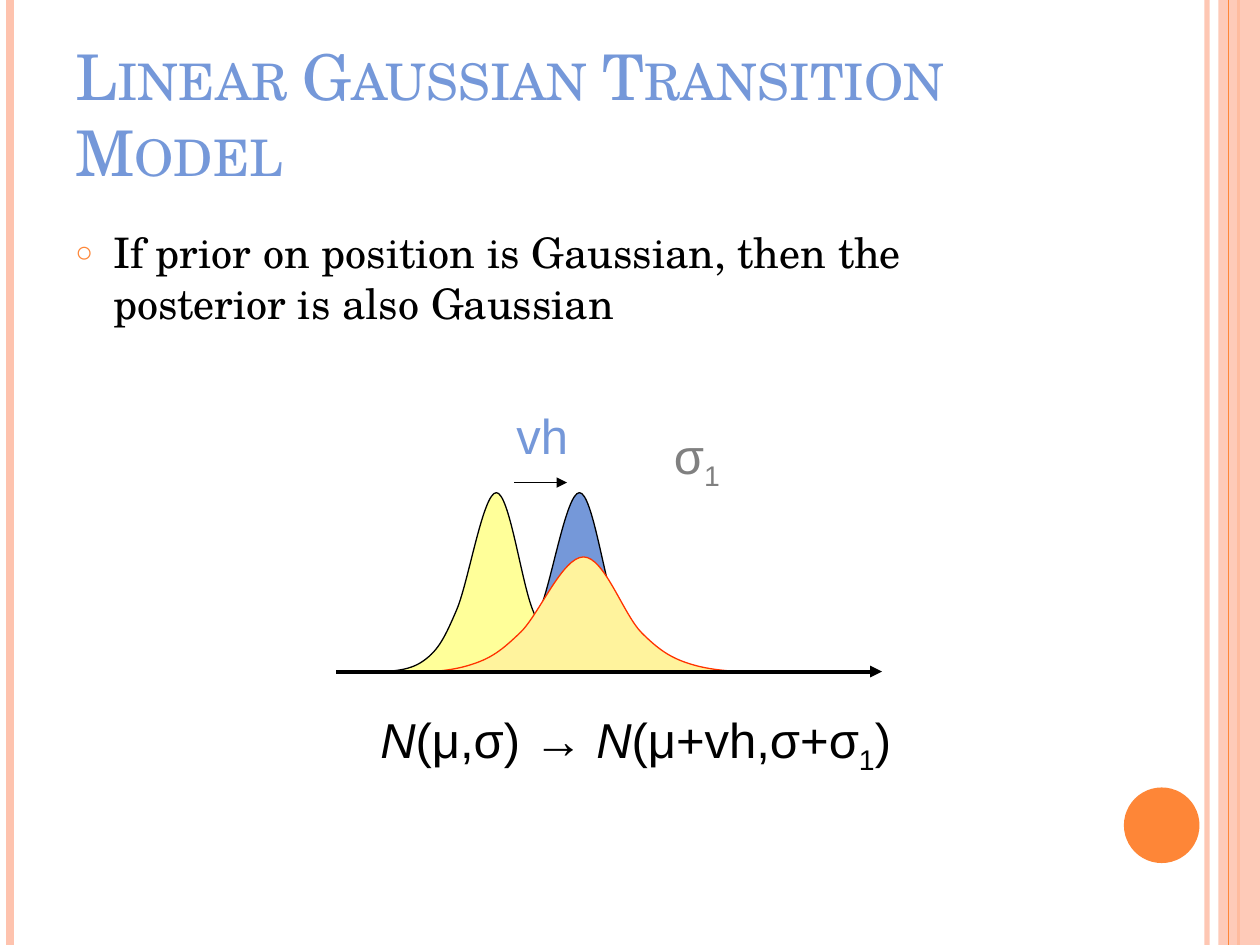
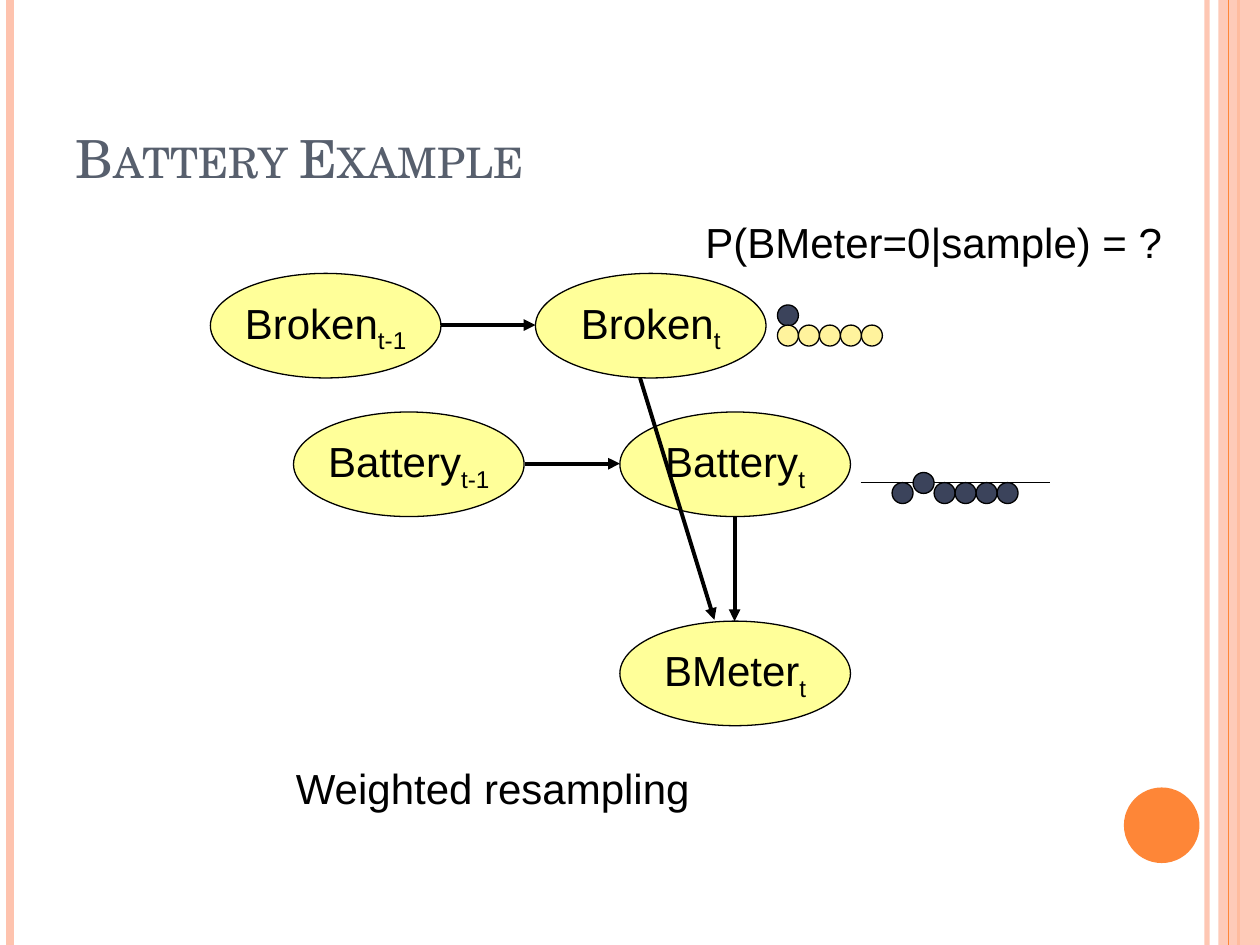
"""Build two slides on Gaussian transitions and a battery network."""
from dataclasses import dataclass

from lxml.etree import SubElement
from pptx import Presentation
from pptx.dml.color import RGBColor
from pptx.enum.shapes import MSO_CONNECTOR, MSO_SHAPE
from pptx.enum.text import MSO_ANCHOR, PP_ALIGN
from pptx.oxml.ns import qn
from pptx.slide import Slide
from pptx.util import Inches, Pt

BLACK = RGBColor(0x00, 0x00, 0x00)
GRAY = RGBColor(0x80, 0x80, 0x80)
SLATE = RGBColor(0x57, 0x5F, 0x6D)
BLUE = RGBColor(0x75, 0x98, 0xD9)
NAVY = RGBColor(0x3B, 0x43, 0x5B)
ORANGE = RGBColor(0xFE, 0x86, 0x37)
PEACH = RGBColor(0xFE, 0xC3, 0xAE)
YELLOW = RGBColor(0xFF, 0xFF, 0x99)
CREAM = RGBColor(0xFF, 0xF3, 0x9D)
RED = RGBColor(0xFF, 0x33, 0x00)
SANS = "Arial"
SERIF = "TeX Gyre Schola"
DOT = 1 / 6
NODE_W, NODE_H = 1.83, 0.83
START = (0, 100)
CURVE = [
    ((8, 100), (15.5, 100), (21.2, 94)),
    ((27, 88), (29.5, 80.5), (34, 65)),
    ((38.5, 49), (44, 0), (49, 0)),
    ((54, 0), (58.5, 50), (63, 66)),
    ((67.5, 82), (70.5, 89), (76.6, 94.5)),
    ((83, 100), (91.3, 99.5), (100, 100)),
]


@dataclass
class Box:
    left: float
    top: float
    width: float
    height: float

    def emu(self) -> tuple:
        """Return the four lengths in drawing units."""
        return tuple(Inches(v) for v in (self.left, self.top, self.width, self.height))


@dataclass
class Run:
    text: str
    slant: bool = False
    sub: bool = False


@dataclass
class Style:
    size: float
    color: RGBColor = BLACK
    font: str = SANS
    caps: bool = False


@dataclass
class Line:
    start: tuple
    end: tuple
    color: RGBColor = BLACK
    width: float = 2.25
    arrow: bool = True
    alpha: int = 100


@dataclass
class Bell:
    box: Box
    fill: RGBColor
    edge: RGBColor = BLACK


@dataclass
class Node:
    left: float
    top: float
    name: str
    time: str


TITLE = Box(0.5, 0.3, 8.17, 1.25)
RAILS = [
    Line((9.58, 0), (9.58, 7.5), PEACH, 3, False, 93),
    Line((0.08, 0), (0.08, 7.5), PEACH, 4.5, False),
    Line((9.83, 0), (9.83, 7.5), ORANGE, 1.5, False),
]
EDGE = Line((9.75, 0), (9.75, 7.5), ORANGE, 0.75, False)
BELLS = [
    Bell(Box(2.92, 3.91, 2.08, 1.42), YELLOW),
    Bell(Box(3.58, 3.91, 2.08, 1.42), BLUE),
    Bell(Box(3, 4.42, 3.33, 0.92), CREAM, RED),
]
NODES = [
    Node(4.92, 4.93, "BMeter", "t"),
    Node(4.92, 3.27, "Battery", "t"),
    Node(2.33, 3.27, "Battery", "t-1"),
    Node(1.67, 2.17, "Broken", "t-1"),
    Node(4.25, 2.17, "Broken", "t"),
]
LINKS = [
    Line((4.17, 3.68), (4.92, 3.68)),
    Line((5.83, 4.1), (5.83, 4.93)),
    Line((5.08, 3), (5.67, 4.92)),
    Line((3.5, 2.58), (4.25, 2.58)),
]


def set_alpha(item, alpha: int) -> None:
    """Make the first colour of a shape or line partly clear."""
    if alpha < 100:
        color = next(item._element.spPr.iter(qn("a:srgbClr")))
        SubElement(color, qn("a:alpha"), val=str(alpha * 1000))


def draw_line(slide: Slide, line: Line) -> None:
    """Draw a straight line or arrow."""
    ends = [Inches(v) for v in (*line.start, *line.end)]
    item = slide.shapes.add_connector(MSO_CONNECTOR.STRAIGHT, *ends)
    item.line.color.rgb = line.color
    item.line.width = Pt(line.width)
    props = item._element.spPr
    if line.arrow:
        SubElement(props.find(qn("a:ln")), qn("a:tailEnd"), type="triangle")
    SubElement(props, qn("a:effectLst"))
    set_alpha(item, line.alpha)


def paint(shape, fill: RGBColor, edge: RGBColor | None = BLACK) -> None:
    """Set the fill and outline of a shape."""
    shape.shadow.inherit = False
    shape.fill.solid()
    shape.fill.fore_color.rgb = fill
    if edge is None:
        shape.line.fill.background()
    else:
        shape.line.color.rgb = edge
        shape.line.width = Pt(0.75)


def draw_shape(slide: Slide, kind: MSO_SHAPE, box: Box, fill: RGBColor,
               edge: RGBColor | None = BLACK):
    """Draw a painted preset shape."""
    shape = slide.shapes.add_shape(kind, *box.emu())
    paint(shape, fill, edge)
    return shape


def add_runs(para, runs: list[Run], style: Style) -> None:
    """Add styled runs to a paragraph."""
    for part in runs:
        run = para.add_run()
        run.text = part.text
        font = run.font
        font.size, font.name = Pt(style.size), style.font
        font.color.rgb = style.color
        font.italic = part.slant
        props = run._r.get_or_add_rPr()
        if part.sub:
            props.set("baseline", "-25000")
        if style.caps:
            props.set("cap", "small")


def draw_text(slide: Slide, box: Box, runs: list[Run], style: Style,
              anchor: MSO_ANCHOR = MSO_ANCHOR.TOP):
    """Draw a text box and return its paragraph."""
    frame = slide.shapes.add_textbox(*box.emu()).text_frame
    frame.word_wrap = True
    frame.vertical_anchor = anchor
    para = frame.paragraphs[0]
    add_runs(para, runs, style)
    return para


def add_bullet(para) -> None:
    """Give a paragraph the ring bullet and hanging indent."""
    para.space_before = Pt(6)
    props = para._p.get_or_add_pPr()
    props.set("marL", str(Inches(0.3)))
    props.set("indent", str(-Inches(0.3)))
    color = SubElement(props, qn("a:buClr"))
    SubElement(color, qn("a:srgbClr"), val=str(ORANGE))
    SubElement(props, qn("a:buSzPct"), val="70000")
    SubElement(props, qn("a:buFont"), typeface=SANS)
    SubElement(props, qn("a:buChar"), char="○")


def bend(shape, box: Box) -> None:
    """Turn the straight sides of a bell into Bézier curves."""
    sides = list(shape._element.spPr.iter(qn("a:lnTo")))
    for side, points in zip(sides, CURVE):
        curve = SubElement(side.getparent(), qn("a:cubicBezTo"))
        for x, y in points:
            SubElement(curve, qn("a:pt"), x=str(Inches(box.width * x / 100)),
                       y=str(Inches(box.height * y / 100)))
        side.getparent().replace(side, curve)


def draw_bell(slide: Slide, bell: Bell) -> None:
    """Draw the bell curve scaled to its box."""
    box = bell.box
    knots = [START] + [points[-1] for points in CURVE]
    first, *rest = [(Inches(box.left + box.width * x / 100),
                     Inches(box.top + box.height * y / 100)) for x, y in knots]
    pen = slide.shapes.build_freeform(*first)
    pen.add_line_segments(rest, close=False)
    shape = pen.convert_to_shape()
    bend(shape, box)
    paint(shape, bell.fill, bell.edge)


def draw_node(slide: Slide, node: Node) -> None:
    """Draw a network node with its time index."""
    box = Box(node.left, node.top, NODE_W, NODE_H)
    frame = draw_shape(slide, MSO_SHAPE.OVAL, box, YELLOW).text_frame
    frame.word_wrap = False
    frame.vertical_anchor = MSO_ANCHOR.MIDDLE
    para = frame.paragraphs[0]
    para.alignment = PP_ALIGN.CENTER
    add_runs(para, [Run(node.name), Run(node.time, sub=True)], Style(24))


def draw_dot(slide: Slide, left: float, top: float, fill: RGBColor) -> None:
    """Draw one sample dot."""
    draw_shape(slide, MSO_SHAPE.OVAL, Box(left, top, DOT, DOT), fill)


def add_slide(deck, title: str, size: float, color: RGBColor) -> Slide:
    """Add a slide with the shared bands and title."""
    slide = deck.slides.add_slide(deck.slide_layouts[6])
    for rail in RAILS:
        draw_line(slide, rail)
    band = draw_shape(slide, MSO_SHAPE.RECTANGLE, Box(9.67, 0, 0.33, 7.5), PEACH, None)
    set_alpha(band, 87)
    draw_line(slide, EDGE)
    draw_shape(slide, MSO_SHAPE.OVAL, Box(8.92, 6.25, 0.6, 0.6), ORANGE, None)
    draw_text(slide, TITLE, [Run(title)], Style(size, color, SERIF, True),
              MSO_ANCHOR.BOTTOM)
    return slide


def build_model(deck) -> None:
    """Build the Gaussian transition slide."""
    slide = add_slide(deck, "Linear Gaussian Transition Model", 36, BLUE)
    claim = "If prior on position is Gaussian, then the posterior is also Gaussian"
    add_bullet(draw_text(slide, Box(0.5, 1.75, 8.17, 5.33), [Run(claim)],
                         Style(24, font=SERIF)))
    for bell in BELLS:
        draw_bell(slide, bell)
    draw_line(slide, Line((4.08, 3.83), (4.5, 3.83), width=0.75))
    draw_line(slide, Line((2.67, 5.33), (7, 5.33)))
    draw_text(slide, Box(4, 3.17, 1, 0.57), [Run("vh")], Style(28, BLUE))
    draw_text(slide, Box(5.25, 3.33, 1, 0.57), [Run("σ"), Run("1", sub=True)],
              Style(28, GRAY))
    draw_text(slide, Box(2.92, 5.58, 4.92, 0.57), [
        Run("N", slant=True), Run("(μ,σ) → "), Run("N", slant=True),
        Run("(μ+vh,σ+σ"), Run("1", sub=True), Run(")")], Style(28))


def build_network(deck) -> None:
    """Build the battery network slide."""
    slide = add_slide(deck, "Battery Example", 30, SLATE)
    for node in NODES:
        draw_node(slide, node)
    for link in LINKS:
        draw_line(slide, link)
    draw_line(slide, Line((6.83, 3.83), (8.33, 3.83), width=0.75, arrow=False))
    draw_dot(slide, 6.17, 2.42, NAVY)
    for i in range(5):
        draw_dot(slide, 6.17 + i * DOT, 2.58, CREAM)
    for i in range(6):
        draw_dot(slide, 7.08 + i * DOT, 3.75 if i == 1 else 3.83, NAVY)
    draw_text(slide, Box(2.25, 6, 4.83, 0.5), [Run("Weighted resampling")], Style(24))
    draw_text(slide, Box(5.5, 1.67, 3.92, 0.5), [Run("P(BMeter=0|sample) = ?")],
              Style(24))


def main() -> None:
    """Build and save the deck."""
    deck = Presentation()
    deck.slide_width, deck.slide_height = Inches(10), Inches(7.5)
    build_model(deck)
    build_network(deck)
    deck.save("out.pptx")


if __name__ == "__main__":
    main()
